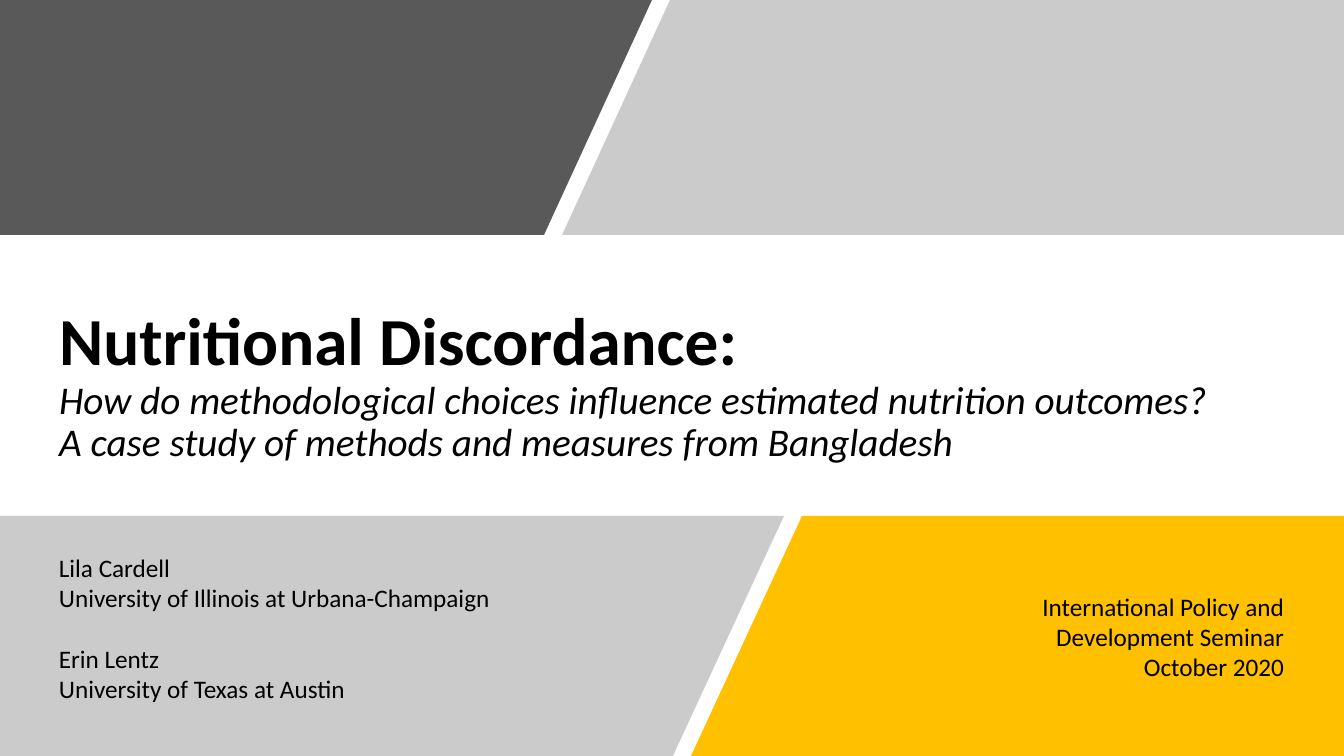
from lxml import etree
from pptx import Presentation
from pptx.dml.color import RGBColor
from pptx.enum.text import MSO_ANCHOR, MSO_AUTO_SIZE, PP_ALIGN
from pptx.oxml.ns import qn
from pptx.util import Pt

EMU_PER_PIXEL = 914400 / 100.8
SLIDE_WIDTH, SLIDE_HEIGHT = 1344, 756
BAND_TOP, BAND_BOTTOM = 235, 516
FONT = "Calibri"
BLACK, WHITE, DARK, GREY, GOLD = "000000", "FFFFFF", "595959", "7F7F7F", "FFC000"
LEFT, RIGHT = PP_ALIGN.LEFT, PP_ALIGN.RIGHT
TOP, BOTTOM = MSO_ANCHOR.TOP, MSO_ANCHOR.BOTTOM
NO_FIT = MSO_AUTO_SIZE.NONE
FIT_SHAPE = MSO_AUTO_SIZE.SHAPE_TO_FIT_TEXT


def px(pixels):
    """Turn pixels into EMU."""
    return round(pixels * EMU_PER_PIXEL)


def rgb(hex_colour):
    """Turn a hex string into a colour."""
    return RGBColor.from_string(hex_colour)


def add_panel(slide, top, bottom, top_edges, bottom_edges, colour, opacity=100):
    """Draw a four-sided panel between two horizontal lines."""
    (top_left, top_right), (bottom_left, bottom_right) = top_edges, bottom_edges
    outline = slide.shapes.build_freeform(top_left, top, scale=EMU_PER_PIXEL)
    outline.add_line_segments(
        [(top_right, top), (bottom_right, bottom), (bottom_left, bottom)], close=True)
    panel = outline.convert_to_shape()
    panel.shadow.inherit = False
    panel.line.fill.background()
    panel.fill.solid()
    panel.fill.fore_color.rgb = rgb(colour)
    if opacity < 100:
        colour_node = panel.element.spPr.find(qn("a:solidFill"))[0]
        etree.SubElement(colour_node, qn("a:alpha"), val=str(opacity * 1000))


def format_run(run, size, bold=False, italic=False):
    """Set the font of one run."""
    font = run.font
    font.name, font.size, font.bold, font.italic = FONT, Pt(size), bold, italic
    font.color.rgb = rgb(BLACK)


def place(shape, left, top, width, height):
    """Move and size a shape, in pixels."""
    shape.left, shape.top = px(left), px(top)
    shape.width, shape.height = px(width), px(height)


def fill_title(slide, heading, question):
    """Write the bold heading with the italic question under it."""
    title = slide.shapes.title
    place(title, 49, BAND_TOP, 1183, 235)
    frame = title.text_frame
    frame.text = f"{heading}\v{question}"
    frame.word_wrap, frame.auto_size = True, NO_FIT
    frame.vertical_anchor = BOTTOM
    paragraph = frame.paragraphs[0]
    paragraph.alignment, paragraph.line_spacing = LEFT, 0.9
    heading_run, question_run = paragraph.runs
    format_run(heading_run, 48, bold=True)
    format_run(question_run, 28, italic=True)


def add_details(slide, box, groups, alignment):
    """Add 18 point lines, with a line's gap between groups."""
    details = slide.shapes.add_textbox(*map(px, box))
    frame = details.text_frame
    frame.text = "\n".join(line for group in groups for line in group)
    frame.word_wrap, frame.auto_size = True, FIT_SHAPE
    frame.vertical_anchor = TOP
    group_starts = {group[0] for group in groups[1:]}
    for paragraph in frame.paragraphs:
        paragraph.alignment = alignment
        if paragraph.text in group_starts:
            paragraph.space_before = Pt(22)
        for run in paragraph.runs:
            format_run(run, 18)


def main():
    """Build the title slide and save it."""
    deck = Presentation()
    deck.slide_width, deck.slide_height = px(SLIDE_WIDTH), px(SLIDE_HEIGHT)
    slide = deck.slides.add_slide(deck.slide_layouts.get_by_name("Title Only"))

    fill_title(
        slide, "Nutritional Discordance:",
        "How do methodological choices influence estimated nutrition outcomes? "
        "A case study of methods and measures from Bangladesh")

    upper, lower = (0, BAND_TOP), (BAND_BOTTOM, SLIDE_HEIGHT)
    add_panel(slide, *upper, (0, 652), (0, 544), DARK)
    add_panel(slide, *upper, (670, SLIDE_WIDTH), (562, SLIDE_WIDTH), GREY, 40)
    add_panel(slide, *lower, (789, 1177), (678, 1177), WHITE)
    add_panel(slide, *lower, (802, SLIDE_WIDTH), (691, SLIDE_WIDTH), GOLD)
    add_panel(slide, *lower, (0, 784), (0, 673), GREY, 40)

    authors = [
        ("Lila Cardell", "University of Illinois at Urbana-Champaign"),
        ("Erin Lentz", "University of Texas at Austin"),
    ]
    seminar = [("International Policy and Development Seminar", "October 2020")]
    add_details(slide, (49, 547, 641, 163), authors, LEFT)
    add_details(slide, (927, 586, 367, 102), seminar, RIGHT)

    deck.save("out.pptx")


if __name__ == "__main__":
    main()
